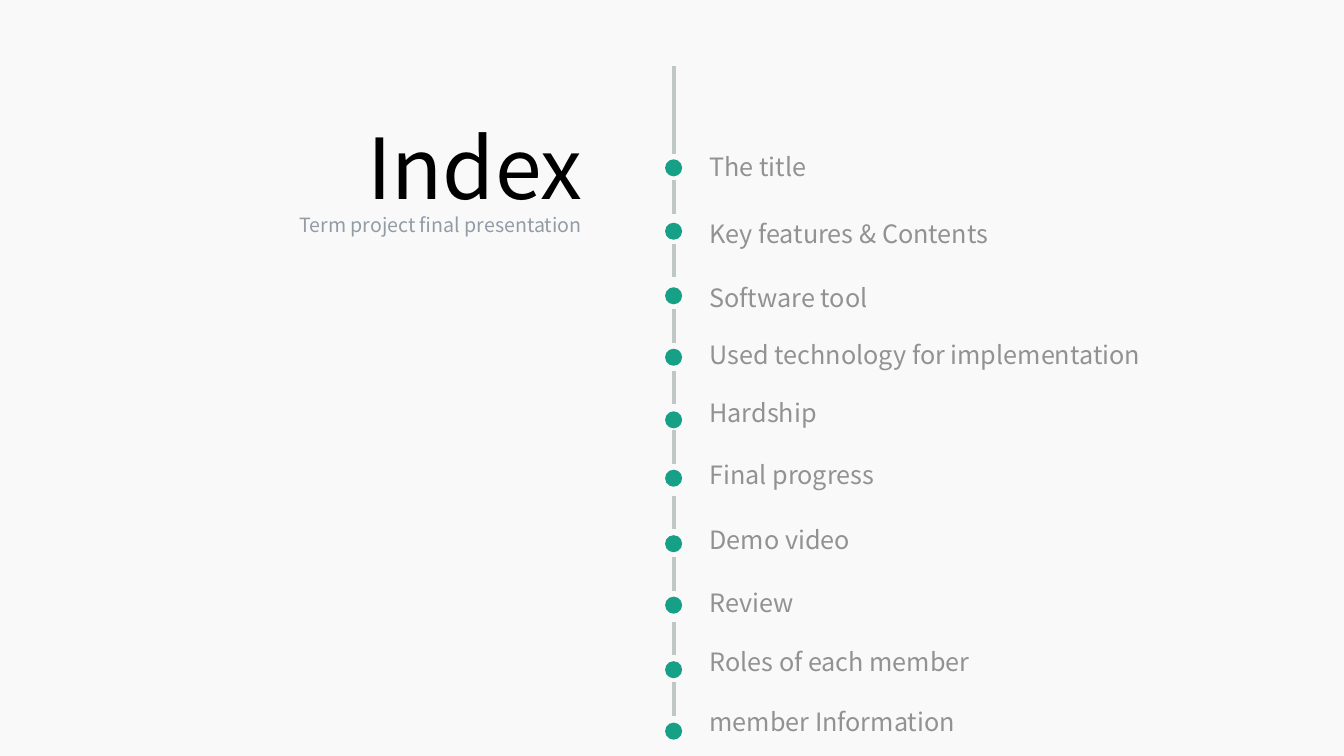
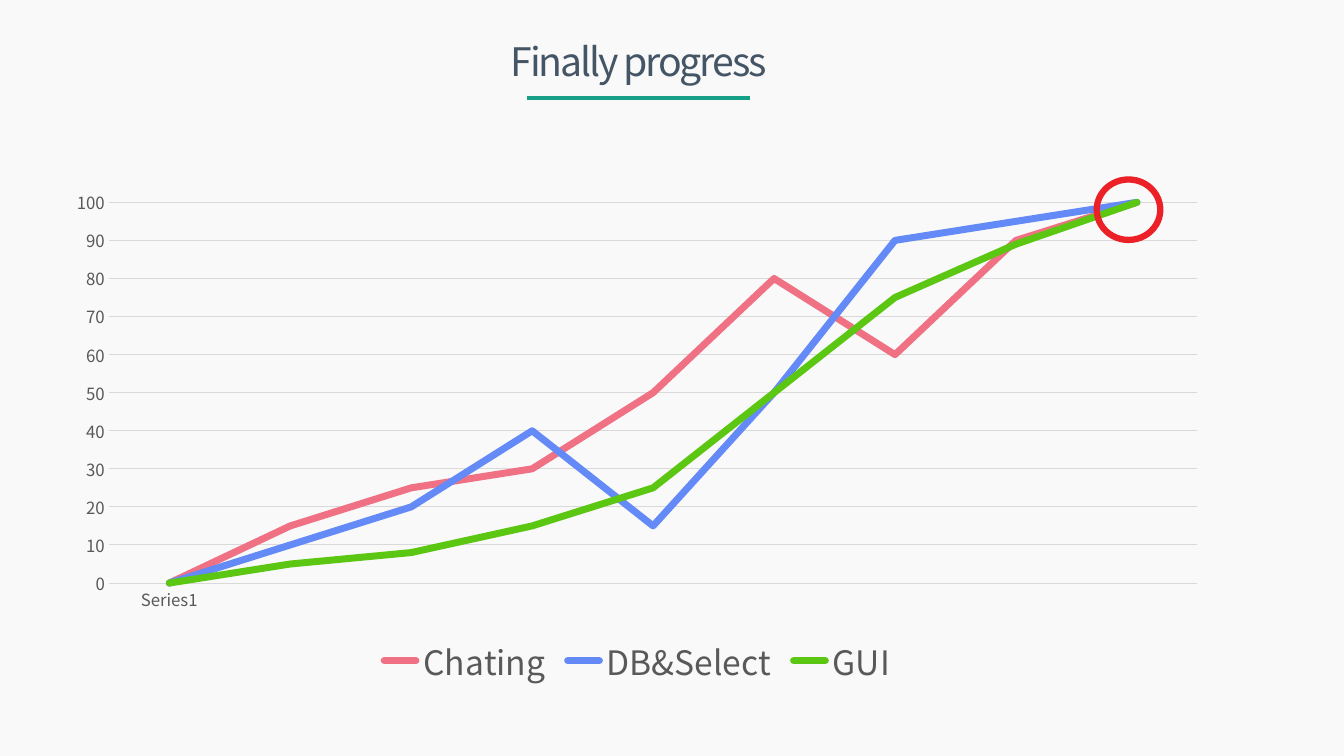
"""Build an index slide and a progress chart slide."""
from lxml import etree
from pptx import Presentation
from pptx.chart.data import CategoryChartData
from pptx.dml.color import RGBColor
from pptx.enum.chart import XL_CHART_TYPE, XL_LEGEND_POSITION, XL_TICK_MARK
from pptx.enum.shapes import MSO_CONNECTOR, MSO_SHAPE
from pptx.enum.text import MSO_AUTO_SIZE, PP_ALIGN
from pptx.oxml import parse_xml
from pptx.oxml.ns import nsdecls, qn
from pptx.util import Pt

LINE_CHART = XL_CHART_TYPE.LINE
BOTTOM = XL_LEGEND_POSITION.BOTTOM
NO_TICK = XL_TICK_MARK.NONE
STRAIGHT = MSO_CONNECTOR.STRAIGHT
OVAL = MSO_SHAPE.OVAL
GROW = MSO_AUTO_SIZE.SHAPE_TO_FIT_TEXT
LEFT, CENTER, RIGHT = PP_ALIGN.LEFT, PP_ALIGN.CENTER, PP_ALIGN.RIGHT

FONT = "Noto Sans CJK KR"
COLORS = {
    "back": "F9F9F9", "accent": "16A085", "rail": "BFC7C7",
    "black": "000000", "subtitle": "939BA5", "item": "929292",
    "title": "445566", "axis": "595959", "grid": "D9D9D9",
    "pink": "EF7183", "blue": "638AF7", "green": "5CC713", "mark": "EC2027",
}
RAIL_X, DOT, LINK = 481.2, 12.2, 23.8
INDEX = [
    ("The title", 104.4, 113.8, 47.5, 62.6),
    ("Key features & Contents", 152.6, 159.1, 128.9, LINK),
    ("Software tool", 198, 205.2, 174.2, LINK),
    ("Used technology for implementation", 239, 249.1, 221, LINK),
    ("Hardship", 280.1, 293.8, 265, LINK),
    ("Final progress", 324.7, 335.5, 307.4, LINK),
    ("Demo video", 370.8, 382.3, 354.2, LINK),
    ("Review", 416.2, 426.2, 398.2, LINK),
    ("Roles of each member", 457.9, 472.3, 444.2, LINK),
    ("member Information", 501.1, 516.2, 487.4, LINK),
]
PROGRESS = [
    ("Chating", "pink", (0, 15, 25, 30, 50, 80, 60, 90, 100)),
    ("DB&Select", "blue", (0, 10, 20, 40, 15, 50, 90, 95, 100)),
    ("GUI", "green", (0, 5, 8, 15, 25, 50, 75, 89, 100)),
]


def rgb(name):
    return RGBColor.from_string(COLORS[name])


def apply(target, values):
    for key, value in values.items():
        setattr(target, key, value)


class Deck:
    def __init__(self):
        self.prs = Presentation()
        self.prs.slide_width, self.prs.slide_height = Pt(960), Pt(540)
        self.s = None

    def slide(self):
        self.s = self.prs.slides.add_slide(self.prs.slide_layouts[6])
        fill = self.s.background.fill
        fill.solid()
        fill.fore_color.rgb = rgb("back")

    def font(self, font, size, color):
        apply(font, {"name": FONT, "size": Pt(size)})
        font.color.rgb = rgb(color)

    def stroke(self, line, color, width):
        line.color.rgb = rgb(color)
        line.width = Pt(width)

    def text(self, text, box, size, color, align=LEFT, spacing=None):
        tf = self.s.shapes.add_textbox(*map(Pt, box)).text_frame
        apply(tf, {"word_wrap": True, "auto_size": GROW})
        p = tf.paragraphs[0]
        p.alignment = align
        r = p.add_run()
        r.text = text
        self.font(r.font, size, color)
        if spacing is not None:
            r._r.get_or_add_rPr().set("spc", str(round(spacing * 100)))

    def line(self, x1, y1, x2, y2, color, width=3):
        sp = self.s.shapes.add_connector(STRAIGHT, *map(Pt, (x1, y1, x2, y2)))
        self.stroke(sp.line, color, width)
        etree.SubElement(sp._element.spPr, qn("a:effectLst"))

    def oval(self, box, fill=None, outline=None, width=0):
        sp = self.s.shapes.add_shape(OVAL, *map(Pt, box))
        sp.shadow.inherit = False
        if fill:
            sp.fill.solid()
            sp.fill.fore_color.rgb = rgb(fill)
        else:
            sp.fill.background()
        if outline:
            self.stroke(sp.line, outline, width)
        else:
            sp.line.fill.background()

    def line_chart(self, box, categories, rows):
        data = CategoryChartData()
        data.categories = categories
        for name, _, values in rows:
            data.add_series(name, values)
        frame = self.s.shapes.add_chart(LINE_CHART, *map(Pt, box), data)
        chart = frame.chart
        apply(chart, {"has_title": False, "has_legend": True})
        self.font(chart.font, 10, "black")
        chart._chartSpace.chart.addnext(parse_xml(
            f'<c:spPr {nsdecls("c", "a")}><a:noFill/><a:ln><a:noFill/></a:ln></c:spPr>'))
        apply(chart.legend, {"position": BOTTOM, "include_in_layout": False})
        self.font(chart.legend.font, 24, "axis")
        for axis in (chart.category_axis, chart.value_axis):
            apply(axis, {"major_tick_mark": NO_TICK, "minor_tick_mark": NO_TICK})
            self.font(axis.tick_labels.font, 12, "axis")
        self.stroke(chart.category_axis.format.line, "grid", 0.75)
        axis = chart.value_axis
        apply(axis, {"minimum_scale": 0, "maximum_scale": 100, "major_unit": 10})
        axis.format.line.fill.background()
        self.stroke(axis.major_gridlines.format.line, "grid", 0.75)
        chart.plots[0].vary_by_categories = False
        for series, (_, color, _) in zip(chart.plots[0].series, rows):
            series.smooth = False
            self.stroke(series.format.line, color, 5)
            series.format.line._get_or_add_ln().set("cap", "rnd")

    def index_slide(self):
        self.slide()
        self.text("Index", (203, 79.2, 220.3, 79.9), 60, "black", RIGHT)
        self.text("Term project final presentation", (144.7, 148.3, 278, 24.5),
                  14, "subtitle", RIGHT)
        for label, text_y, dot_y, link_y, length in INDEX:
            self.line(RAIL_X, link_y, RAIL_X, link_y + length, "rail")
            self.oval((RAIL_X - DOT / 2, dot_y, DOT, DOT), "accent")
            self.text(label, (499.7, text_y, 411, 28.8), 18, "item")

    def progress_slide(self):
        self.slide()
        self.text("Finally progress", (313.9, 23, 284.4, 41), 28, "title", CENTER, -1.5)
        self.line(376.6, 70.2, 535.7, 70.2, "accent")
        self.line_chart((38.2, 128.2, 833.8, 365.8), ["Series1"] + [""] * 8, PROGRESS)
        self.oval((783.4, 128.2, 45.4, 43.2), outline="mark", width=4.5)


def main():
    deck = Deck()
    deck.index_slide()
    deck.progress_slide()
    deck.prs.save("out.pptx")


if __name__ == "__main__":
    main()
